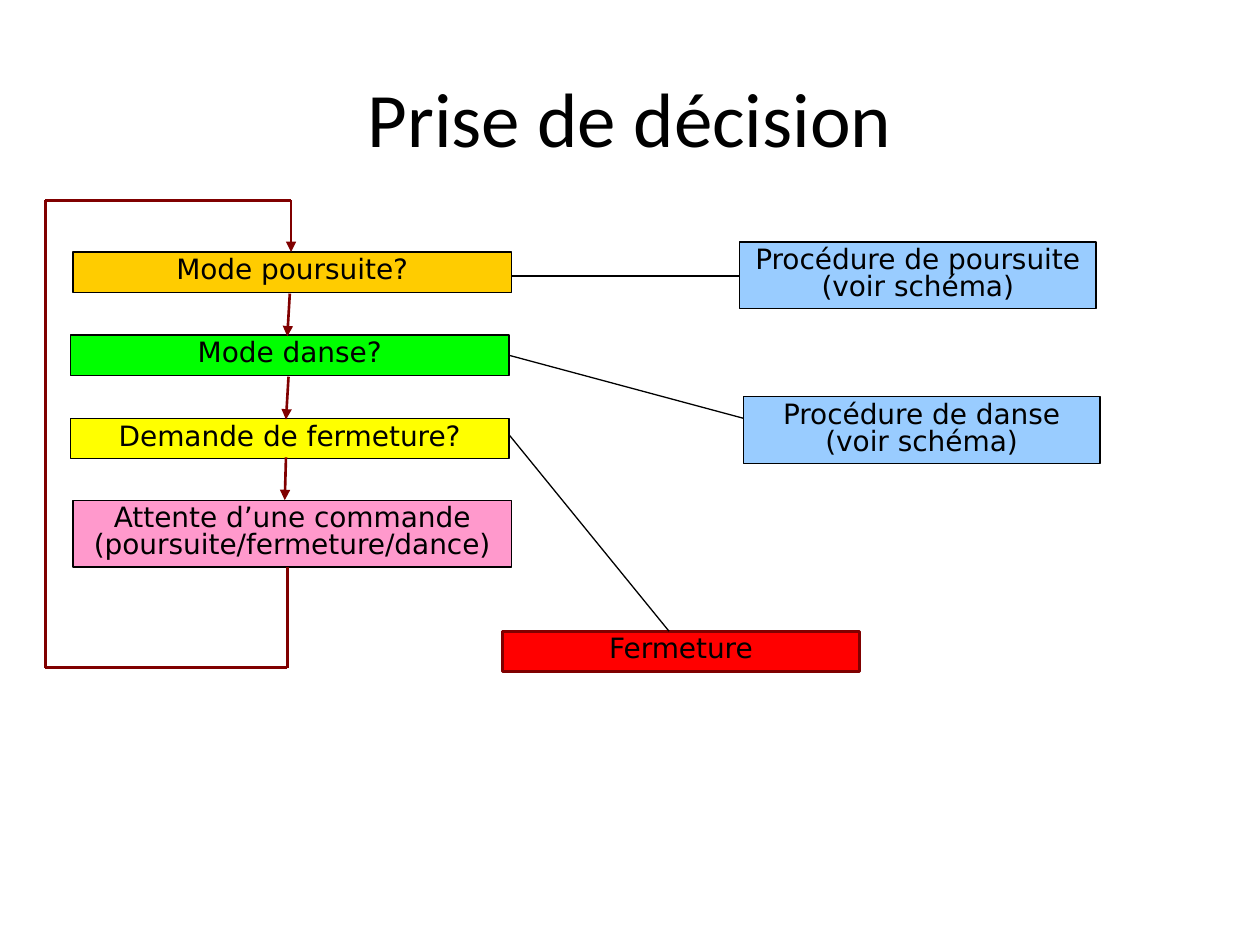
from lxml import etree
from pptx import Presentation
from pptx.dml.color import RGBColor
from pptx.enum.shapes import MSO_CONNECTOR, MSO_SHAPE
from pptx.enum.text import MSO_ANCHOR, MSO_AUTO_SIZE, PP_ALIGN
from pptx.oxml.ns import qn
from pptx.util import Inches, Pt

COLORS = {
    "black": "000000", "maroon": "800000", "orange": "FFCC00",
    "green": "00FF00", "yellow": "FFFF00", "pink": "FF99CC",
    "blue": "99CCFF", "red": "FF0000",
}
STEP_WIDTH, PROCEDURE_WIDTH = 3.48, 2.83
ONE_LINE, TWO_LINES = 0.32, 0.53


def color(name):
    return RGBColor.from_string(COLORS[name])


def connect(start, end, line_color, width, arrow=False):
    """Draw a straight connector, with an arrowhead at its end if asked."""
    link = slide.shapes.add_connector(
        MSO_CONNECTOR.STRAIGHT, *map(Inches, start + end))
    link.line.color.rgb = color(line_color)
    link.line.width = Pt(width)
    if arrow:
        etree.SubElement(link.line._get_or_add_ln(), qn("a:tailEnd"), type="triangle")
    etree.SubElement(link._element.spPr, qn("a:effectLst"))


prs = Presentation()
prs.slide_width, prs.slide_height = Inches(10), Inches(7.5)
slide = prs.slides.add_slide(prs.slide_layouts[6])

title = slide.shapes.add_textbox(Inches(0.5), Inches(0.3), Inches(9), Inches(1.25))
title.text_frame.word_wrap = True
title.text_frame.vertical_anchor = MSO_ANCHOR.MIDDLE
heading = title.text_frame.paragraphs[0]
heading.text = "Prise de décision"
heading.alignment = PP_ALIGN.CENTER
heading.font.size = Pt(44)
heading.font.name = "Calibri"
heading.font.color.rgb = color("black")

# text, left, top, width, height, fill, outline, outline width
boxes = [
    ("Mode poursuite?", 0.58, 2, STEP_WIDTH, ONE_LINE, "orange", "black", 0.75),
    ("Mode danse?", 0.56, 2.66, STEP_WIDTH, ONE_LINE, "green", "black", 0.75),
    ("Demande de fermeture?", 0.56, 3.32, STEP_WIDTH, ONE_LINE, "yellow", "black", 0.75),
    ("Attente d’une commande (poursuite/fermeture/dance)",
     0.58, 3.97, STEP_WIDTH, TWO_LINES, "pink", "black", 0.75),
    ("Procédure de poursuite (voir schéma)",
     5.87, 1.92, PROCEDURE_WIDTH, TWO_LINES, "blue", "black", 0.75),
    ("Procédure de danse (voir schéma)",
     5.9, 3.15, PROCEDURE_WIDTH, TWO_LINES, "blue", "black", 0.75),
    ("Fermeture", 3.99, 5.01, PROCEDURE_WIDTH, ONE_LINE, "red", "maroon", 1.5),
]
for text, left, top, width, height, fill, outline, outline_width in boxes:
    box = slide.shapes.add_shape(
        MSO_SHAPE.RECTANGLE, *map(Inches, (left, top, width, height)))
    box.shadow.inherit = False
    box.fill.solid()
    box.fill.fore_color.rgb = color(fill)
    box.line.color.rgb = color(outline)
    box.line.width = Pt(outline_width)
    frame = box.text_frame
    frame.word_wrap = True
    frame.auto_size = MSO_AUTO_SIZE.SHAPE_TO_FIT_TEXT
    frame.vertical_anchor = MSO_ANCHOR.TOP
    label = frame.paragraphs[0]
    label.text = text
    label.alignment = PP_ALIGN.CENTER
    label.line_spacing = 0.8
    label.space_before = Pt(10)
    label.font.size = Pt(16)
    label.font.name = "DejaVu Sans"
    label.font.color.rgb = color("black")

# Branches from each question to its procedure
for start, end in [((4.06, 2.19), (5.87, 2.19)),
                   ((4.04, 2.82), (5.9, 3.32)),
                   ((4.04, 3.45), (5.31, 5.01))]:
    connect(start, end, "black", 0.75)

# Arrows from one step to the next
for start, end in [((2.3, 2.33), (2.28, 2.67)),
                   ((2.29, 2.99), (2.27, 3.33)),
                   ((2.27, 3.63), (2.26, 3.97))]:
    connect(start, end, "maroon", 1.5, arrow=True)

# Loop from the last step back to the first
loop = [(2.28, 4.5), (2.28, 5.3), (0.36, 5.3), (0.36, 1.59), (2.31, 1.59), (2.31, 2)]
for start, end in zip(loop, loop[1:]):
    connect(start, end, "maroon", 1.5, arrow=end == loop[-1])

prs.save("out.pptx")
